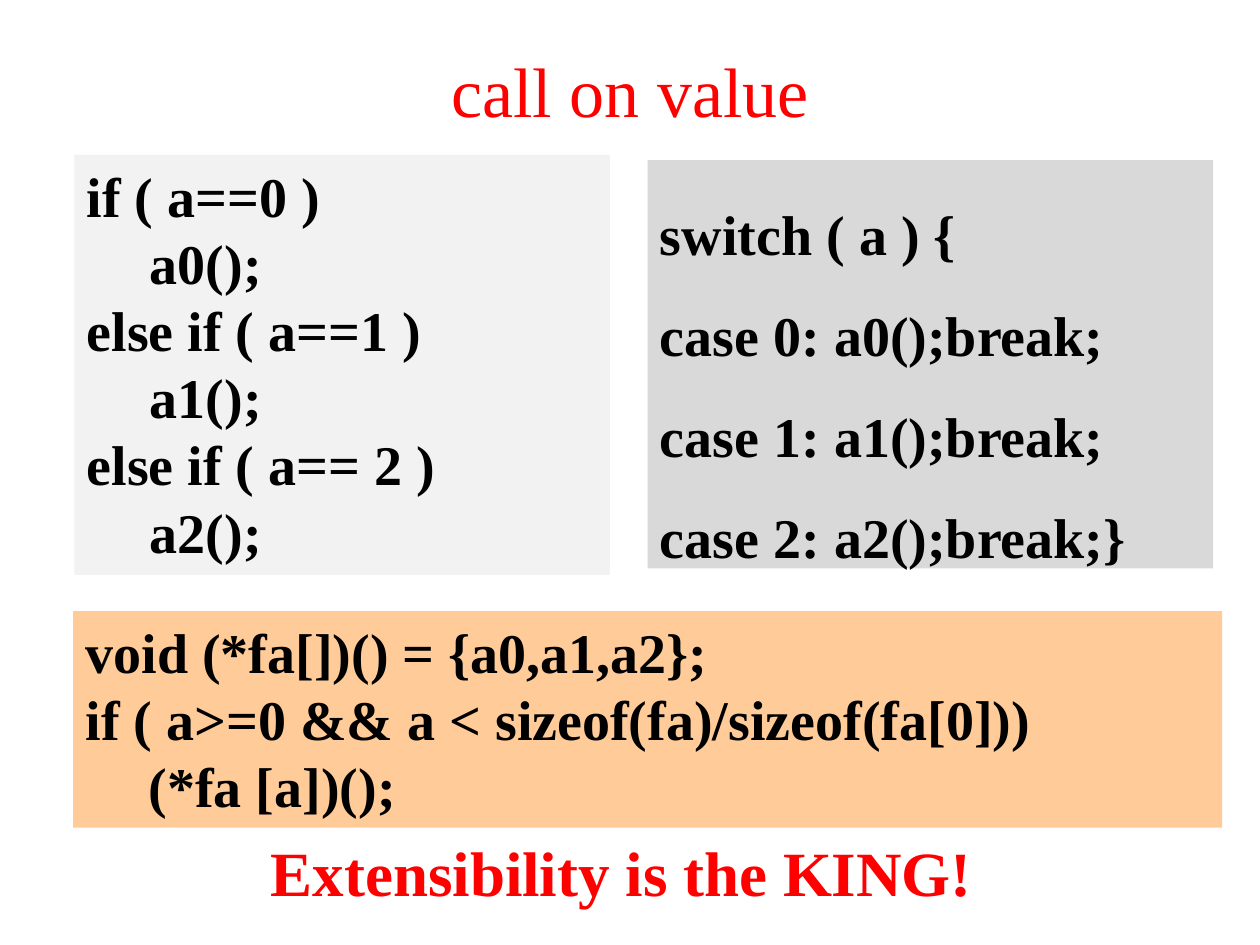
import pptx
import pptx.util
import pptx.dml.color
import pptx.enum.shapes
import pptx.enum.text

Pt = pptx.util.Pt
Align = pptx.enum.text.PP_ALIGN
Anchor = pptx.enum.text.MSO_ANCHOR
AutoSize = pptx.enum.text.MSO_AUTO_SIZE

THEME = {
    "font": "Times New Roman",
    "accent": "FF0000", "ink": "000000",
    "light": "F2F2F2", "grey": "D9D9D9", "orange": "FFCC99",
    "title": 40, "code": 32, "slogan": 36,
}

HEADINGS = [
    {"text": "call on value", "box": (0, 6, 720, 90), "size": "title",
     "bold": False, "align": Align.CENTER, "anchor": Anchor.MIDDLE},
    {"text": "Extensibility is the KING!", "box": (147.6, 473, 442, 51),
     "size": "slogan", "bold": True, "align": Align.LEFT, "anchor": Anchor.TOP},
]

CODE_PANELS = [
    {"fill": "light", "box": (42.5, 88.5, 306, 240), "spacing": 1.0, "lines": [
        "if ( a==0 )", "\ta0();",
        "else if ( a==1 )", "\ta1();",
        "else if ( a== 2 )", "\ta2();"]},
    {"fill": "grey", "box": (370, 91.5, 323.3, 233.3), "spacing": 1.5, "lines": [
        "switch ( a ) {", "case 0: a0();break;",
        "case 1: a1();break;", "case 2: a2();break;}"]},
    {"fill": "orange", "box": (41.8, 349.2, 656.6, 123.8), "spacing": 1.0, "lines": [
        "void (*fa[])() = {a0,a1,a2};",
        "if ( a>=0 && a < sizeof(fa)/sizeof(fa[0]))",
        "\t(*fa [a])();"]},
]


def colour(name):
    """Return the theme colour of that name."""
    return pptx.dml.color.RGBColor.from_string(THEME[name])


def write(frame, lines, size, ink, bold=True, align=Align.LEFT,
          anchor=Anchor.TOP, spacing=1.0, fit=AutoSize.SHAPE_TO_FIT_TEXT):
    """Fill a text frame with one paragraph per line."""
    for key, value in {"word_wrap": True, "auto_size": fit,
                       "vertical_anchor": anchor}.items():
        setattr(frame, key, value)
    font_format = {"name": THEME["font"], "size": Pt(THEME[size]), "bold": bold}
    for number, line in enumerate(lines):
        paragraph = frame.add_paragraph() if number else frame.paragraphs[0]
        paragraph.alignment = align
        paragraph.line_spacing = spacing
        run = paragraph.add_run()
        run.text = line
        for key, value in font_format.items():
            setattr(run.font, key, value)
        run.font.color.rgb = colour(ink)


def add_heading(slide, heading):
    """Add a red line of text without a background."""
    area = slide.shapes.add_textbox(*map(Pt, heading["box"]))
    write(area.text_frame, [heading["text"]], heading["size"], "accent",
          heading["bold"], heading["align"], heading["anchor"], fit=AutoSize.NONE)


def add_code_panel(slide, panel):
    """Add a filled rectangle that holds code."""
    rectangle = pptx.enum.shapes.MSO_SHAPE.RECTANGLE
    area = slide.shapes.add_shape(rectangle, *map(Pt, panel["box"]))
    area.shadow.inherit = False
    area.fill.solid()
    area.fill.fore_color.rgb = colour(panel["fill"])
    area.line.fill.background()
    write(area.text_frame, panel["lines"], "code", "ink", spacing=panel["spacing"])


deck = pptx.Presentation()
deck.slide_width, deck.slide_height = Pt(720), Pt(540)
slide = deck.slides.add_slide(deck.slide_layouts[6])
title, slogan = HEADINGS
add_heading(slide, title)
for panel in CODE_PANELS:
    add_code_panel(slide, panel)
add_heading(slide, slogan)
deck.save("out.pptx")
